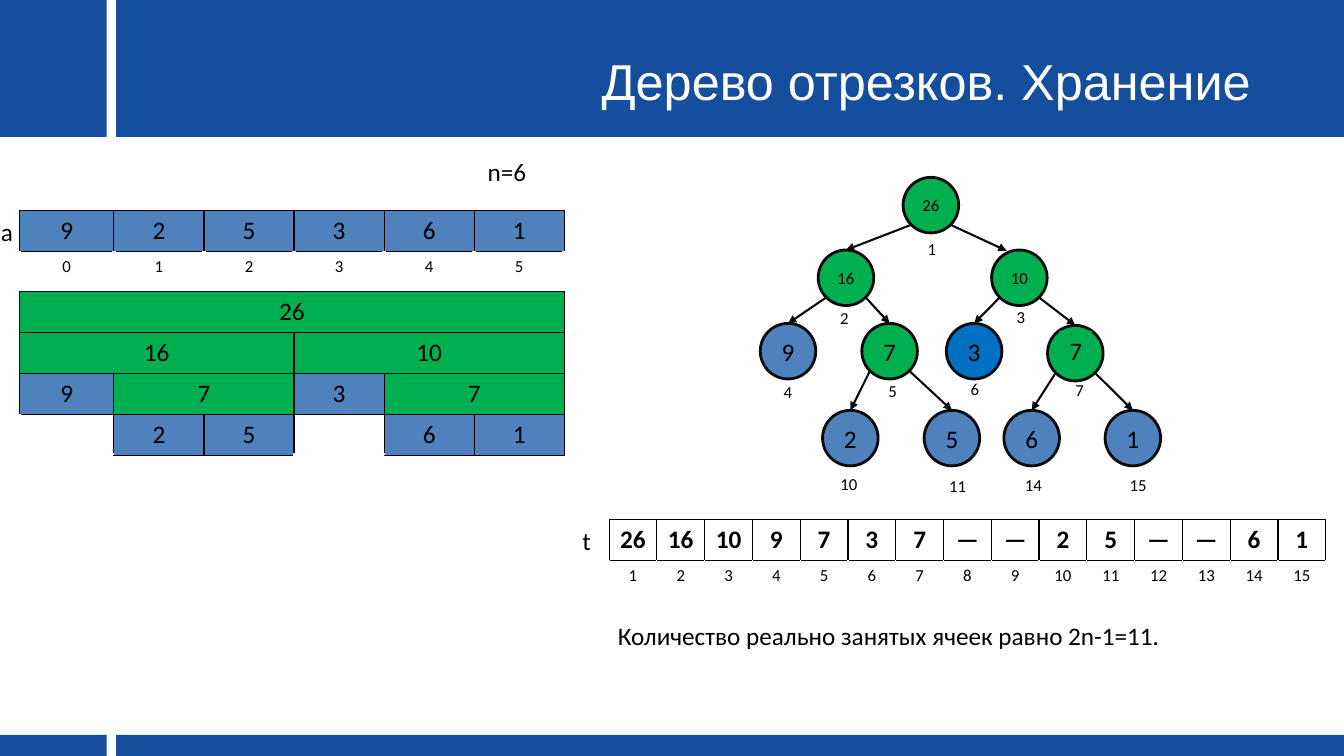
from math import sqrt

from lxml import etree
from pptx import Presentation
from pptx import util as u
from pptx.dml.color import RGBColor
from pptx.enum import shapes, text
from pptx.oxml.ns import qn

NAVY = RGBColor(0x15, 0x4E, 0x9D)
BLUE = RGBColor(0x4F, 0x81, 0xBD)
BRIGHT_BLUE = RGBColor(0x00, 0x70, 0xC0)
GREEN = RGBColor(0x00, 0xB0, 0x50)
OUTLINE = RGBColor(0x0A, 0x0A, 0x0C)
BLACK = RGBColor(0, 0, 0)
WHITE = RGBColor(0xFF, 0xFF, 0xFF)

NODE_SIZE = 1.4


class SlideBuilder:
    """Holds the style and the current page; all lengths are centimetres."""

    def __init__(self, page, font="Calibri", size=18, small=12):
        self.page = page
        self.font, self.size, self.small = font, size, small

    def style(self, frame, size, color=BLACK, align=None, bold=False, font=None):
        for para in frame.paragraphs:
            para.alignment = align
            for span in para.runs:
                span.font.name = font or self.font
                span.font.size = u.Pt(size)
                span.font.bold = bold
                span.font.color.rgb = color

    def title(self, wording, left, top, width, height):
        box = self.page.shapes.title
        box.left, box.top = u.Cm(left), u.Cm(top)
        box.width, box.height = u.Cm(width), u.Cm(height)
        frame = box.text_frame
        frame.text = wording
        frame.vertical_anchor = text.MSO_ANCHOR.MIDDLE
        self.style(frame, 36, WHITE, text.PP_ALIGN.CENTER, font="Arial")
        # Bring the title in front of the bands
        box._element.getparent().append(box._element)

    def shape(self, kind, left, top, width, height, fill):
        shape = self.page.shapes.add_shape(
            kind, u.Cm(left), u.Cm(top), u.Cm(width), u.Cm(height))
        shape.shadow.inherit = False
        shape.fill.solid()
        shape.fill.fore_color.rgb = fill
        shape.line.fill.background()
        return shape

    def bar(self, left, top, width, height):
        self.shape(shapes.MSO_SHAPE.RECTANGLE, left, top, width, height, NAVY)

    def node(self, value, left, top, fill):
        node = self.shape(shapes.MSO_SHAPE.OVAL, left, top, NODE_SIZE, NODE_SIZE, fill)
        node.line.color.rgb = OUTLINE
        node.line.width = u.Pt(2)
        frame = node.text_frame
        frame.word_wrap = False
        frame.vertical_anchor = text.MSO_ANCHOR.MIDDLE
        if value:
            frame.text = str(value)
            size = self.small if value > 9 else self.size
            self.style(frame, size, align=text.PP_ALIGN.CENTER)
        return node

    def arrow(self, parent, child, side, landing=None):
        """Leaves the parent's lower left (-1) or right (1) and lands on the child."""
        reach = parent.width / 2 / sqrt(2)
        start_x = int(parent.left + parent.width / 2 + side * reach)
        start_y = int(parent.top + parent.height / 2 + reach)
        end_x, end_y = child.left + child.width // 2, child.top
        if landing:
            end_x, end_y = u.Cm(landing[0]), u.Cm(landing[1])
        line = self.page.shapes.add_connector(
            shapes.MSO_CONNECTOR.STRAIGHT, start_x, start_y, end_x, end_y)
        if not landing:
            line.end_connect(child, 0)
        line.line.color.rgb = OUTLINE
        line.line.width = u.Pt(1.5)
        etree.SubElement(line.line._get_or_add_ln(), qn("a:tailEnd"), type="triangle")
        etree.SubElement(line._element.spPr, qn("a:effectLst"))

    def label(self, wording, left, top, width, height, size=None, fill=None):
        box = self.page.shapes.add_textbox(
            u.Cm(left), u.Cm(top), u.Cm(width), u.Cm(height))
        if fill is not None:
            box.fill.solid()
            box.fill.fore_color.rgb = fill
        frame = box.text_frame
        frame.word_wrap = False
        frame.auto_size = text.MSO_AUTO_SIZE.SHAPE_TO_FIT_TEXT
        frame.text = wording
        self.style(frame, size or self.size)

    def border(self, cell, edge, color, width):
        line = etree.SubElement(
            cell._tc.get_or_add_tcPr(), qn(f"a:ln{edge}"), w=str(u.Pt(width)))
        fill = etree.SubElement(line, qn("a:solidFill"))
        etree.SubElement(fill, qn("a:srgbClr"), val=str(color))

    def table(self, rows, left, top, widths, row_height, eraser, filled, bold):
        """Rows hold (wording, span) pairs; row 1 holds the indices."""
        frame = self.page.shapes.add_table(
            len(rows), len(widths), u.Cm(left), u.Cm(top),
            u.Cm(sum(widths)), u.Cm(row_height * len(rows)))
        table = frame.table
        table.first_row = table.horz_banding = False
        for column, width in zip(table.columns, widths):
            column.width = u.Cm(width)
        for row, entries in enumerate(rows):
            table.rows[row].height = u.Cm(row_height)
            is_index, is_last = row == 1, row == len(rows) - 1
            col = 0
            for wording, span in entries:
                bare = is_index or not wording
                hidden = {"L": is_index or (bare and col == 0),
                          "R": is_index, "T": False, "B": bare and is_last}
                for offset in range(span):
                    cell = table.cell(row, col + offset)
                    for edge, erased in hidden.items():
                        self.border(cell, edge, WHITE if erased else BLACK,
                                    eraser if erased else 1)
                    if bare or not filled:
                        cell.fill.background()
                    else:
                        cell.fill.solid()
                        cell.fill.fore_color.rgb = GREEN if span > 1 else BLUE
                cell = table.cell(row, col)
                if span > 1:
                    cell.merge(table.cell(row, col + span - 1))
                cell.text_frame.text = wording
                self.style(cell.text_frame, self.small if is_index else self.size,
                           align=text.PP_ALIGN.CENTER, bold=bold and not is_index)
                col += span


def singles(values):
    return [(str(value), 1) for value in values]


def main():
    deck = Presentation()
    deck.slide_width, deck.slide_height = u.Cm(33.87), u.Cm(19.05)
    slide = SlideBuilder(deck.slides.add_slide(deck.slide_layouts[5]))

    # Header and footer bands
    for top, height in ((0, 3.45), (18.52, 0.53)):
        slide.bar(0, top, 2.69, height)
        slide.bar(2.93, top, 30.94, height)
    slide.title("Дерево отрезков. Хранение", 13.59, 0.71, 19.51, 2.64)

    # Array and its segments
    array = [9, 2, 5, 3, 6, 1]
    segments = [
        singles(array),
        singles(range(len(array))),
        [("26", 6)],
        [("16", 3), ("10", 3)],
        [("9", 1), ("7", 2), ("3", 1), ("7", 2)],
        singles(["", 2, 5, "", 6, 1]),
    ]
    slide.table(segments, 0.49, 5.3, [2.38] + [2.27] * 5, 1.02, 3, True, False)

    # Tree stored as an array
    storage = [26, 16, 10, 9, 7, 3, 7, "—", "—", 2, 5, "—", "—", 6, 1]
    cells = len(storage)
    slide.table([singles(storage), singles(range(1, cells + 1))],
                15.35, 13.09, [18.06 / cells] * cells, 0.9, 1, False, True)

    # Tree nodes: number -> left, top, fill, label left, label top
    tree = {
        1: (22.76, 4.47, GREEN, 23.13, 5.89),
        2: (20.62, 6.3, GREEN, 20.92, 7.62),
        3: (24.99, 6.3, GREEN, 25.37, 7.6),
        4: (19.16, 8.15, BLUE, 19.5, 9.5),
        5: (21.72, 8.15, GREEN, 22.14, 9.47),
        6: (23.85, 8.15, BRIGHT_BLUE, 24.21, 9.42),
        7: (26.4, 8.2, GREEN, 26.85, 9.45),
        10: (20.73, 10.34, BLUE, 20.93, 11.81),
        11: (23.29, 10.34, BLUE, 23.67, 11.86),
        14: (25.3, 10.34, BLUE, 25.58, 11.84),
        15: (27.85, 10.34, BLUE, 28.22, 11.84),
    }
    boxed = 7  # this node's value sits in a box of its own
    nodes = {}
    for number, (left, top, fill, _, _) in tree.items():
        value = None if number == boxed else storage[number - 1]
        nodes[number] = slide.node(value, left, top, fill)
    slide.label(str(storage[boxed - 1]), 26.7, 8.33, 0.81, 1.02, fill=GREEN)

    # Arrows from each parent, then the node numbers
    landings = {3: (25.37, 6.32)}
    for number, node in nodes.items():
        if number > 1:
            side = 1 if number % 2 else -1
            slide.arrow(nodes[number // 2], node, side, landings.get(number))
    for number, (_, _, _, left, top) in tree.items():
        slide.label(str(number), left, top, 0.94 if number > 9 else 0.74, 0.76, slide.small)

    # Captions
    slide.label("n=6", 12.04, 3.82, 1.5, 1.02)
    slide.label("Количество реально занятых ячеек равно 2n-1=11.", 15.32, 15.5, 14.48, 1.02)
    slide.label("a", -0.23, 5.33, 0.81, 1.02)
    slide.label("t", 14.43, 13.11, 0.74, 1.02)

    deck.save("out.pptx")


if __name__ == "__main__":
    main()
